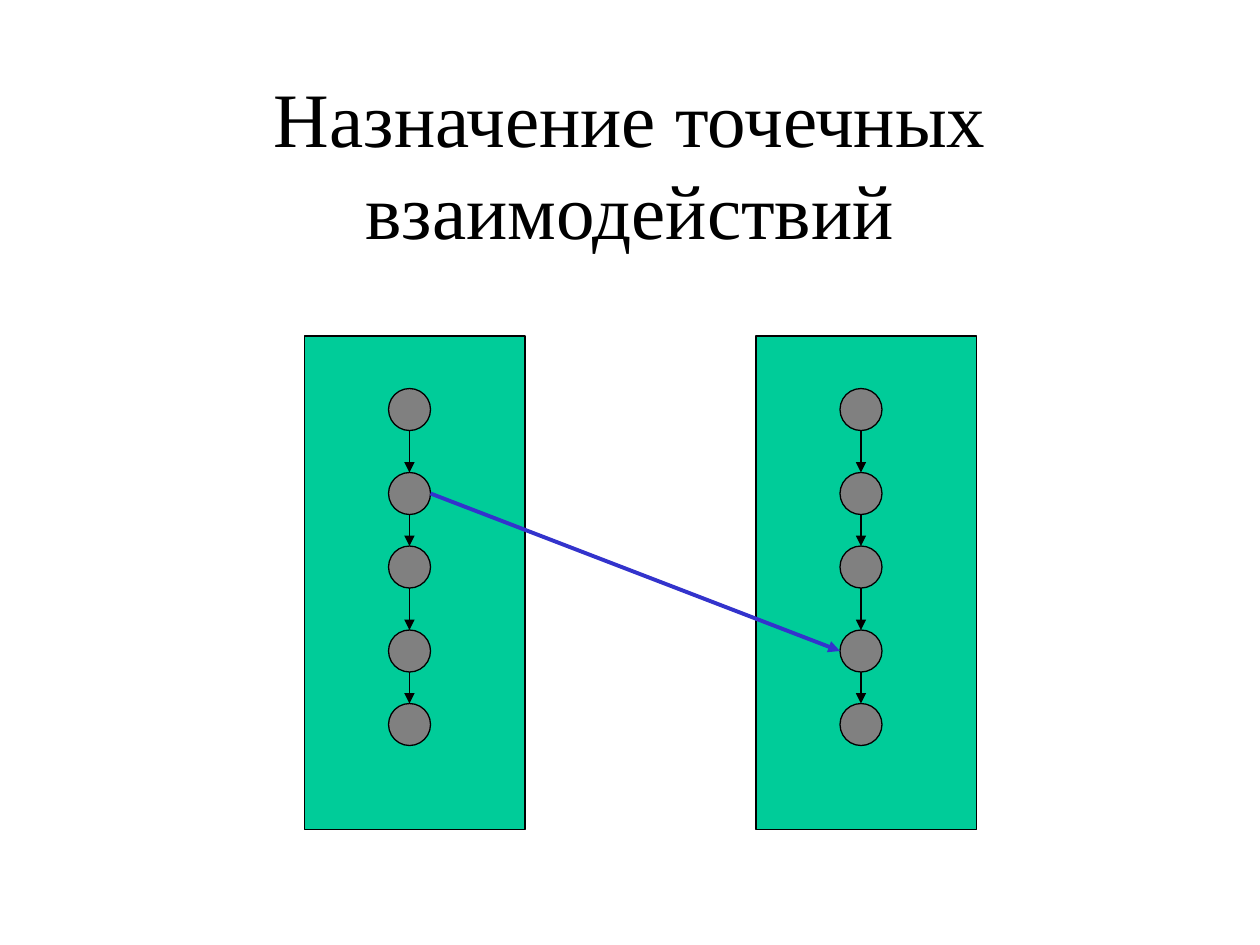
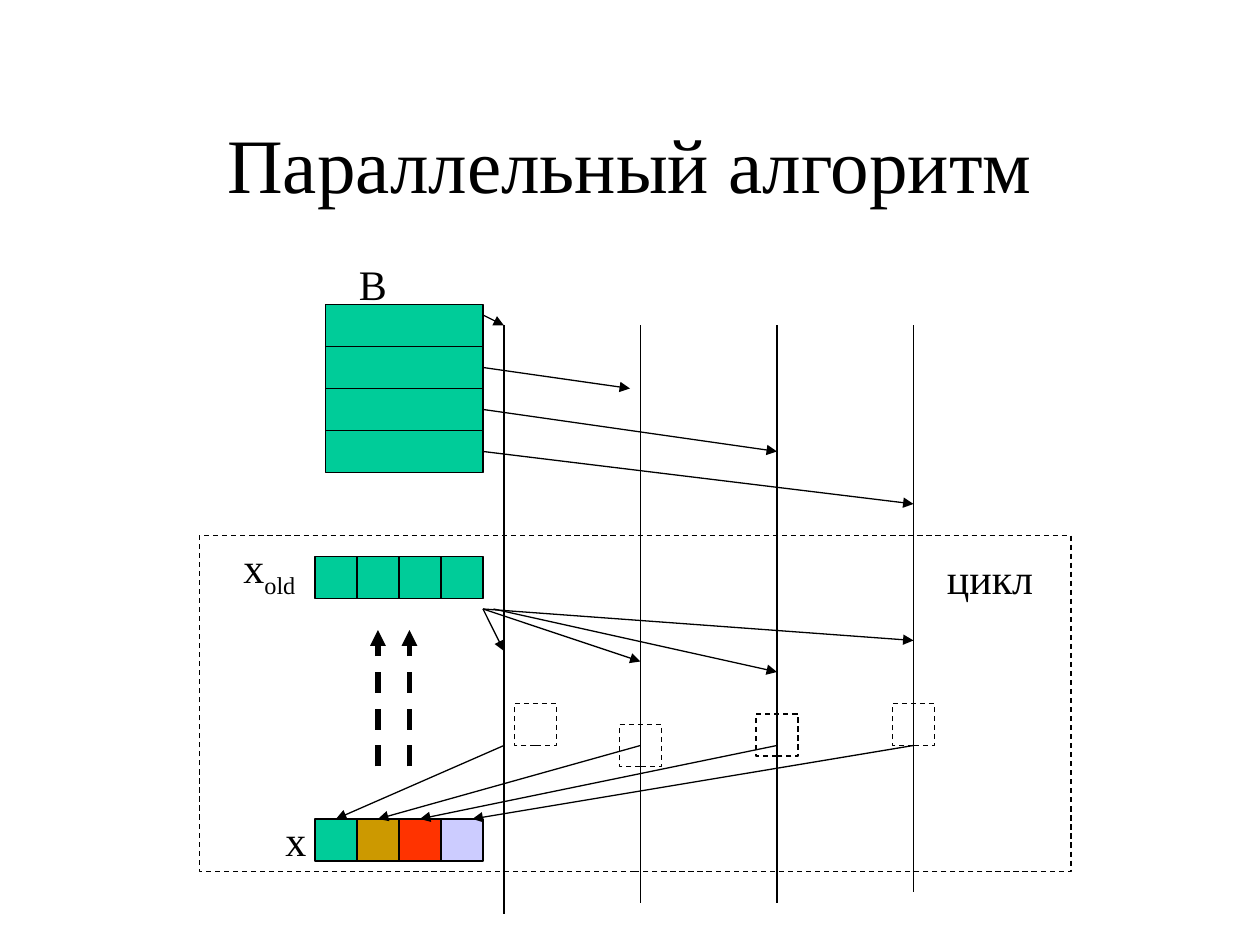
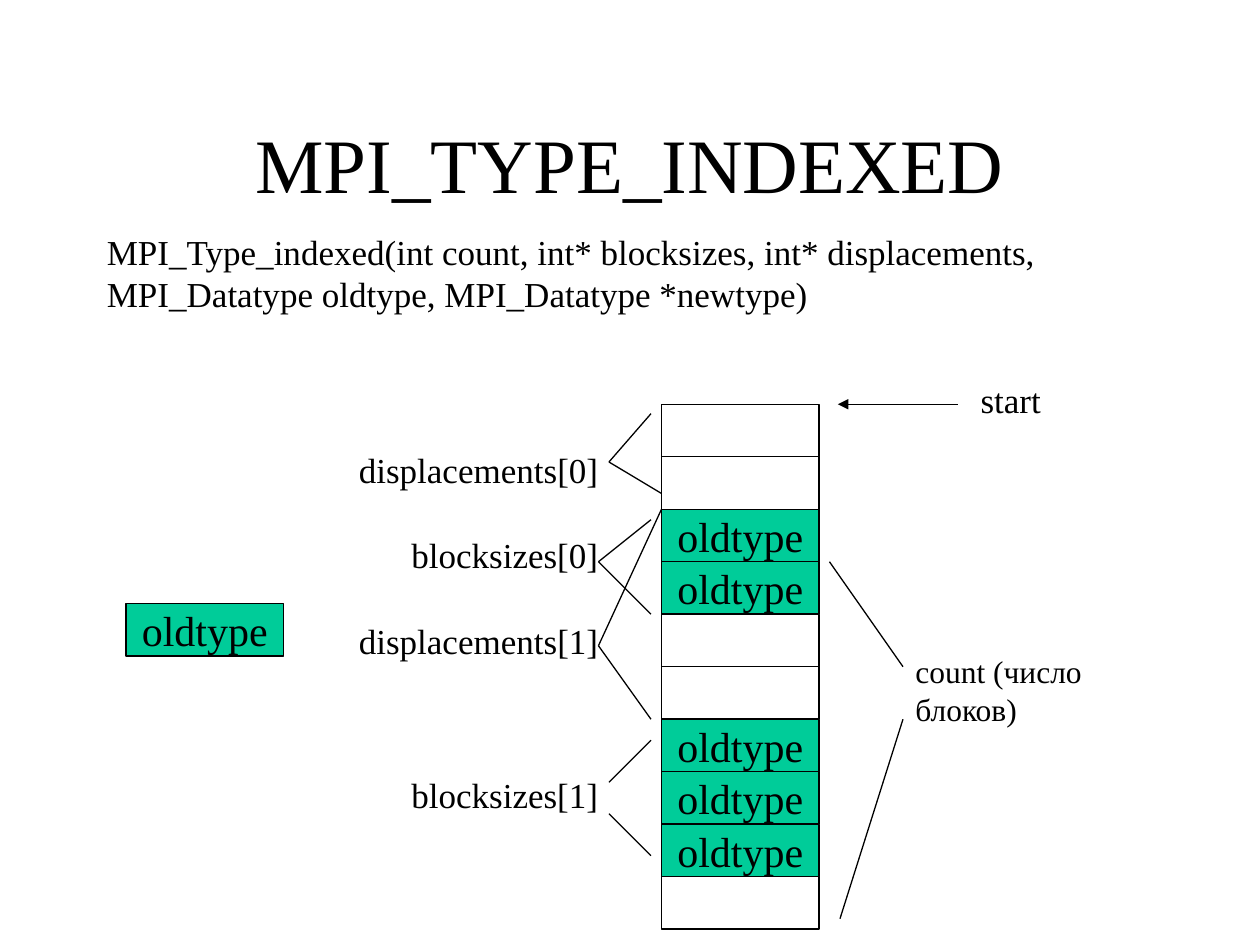
from itertools import pairwise

from lxml import etree
from pptx import Presentation
from pptx import util as u
from pptx.dml.color import RGBColor
from pptx.enum import dml, shapes, text
from pptx.oxml.ns import qn

COLORS = {
    "black": "000000",
    "green": "00CC99",
    "gray": "808080",
    "blue": "3333CC",
    "ochre": "CC9900",
    "red": "FF3300",
    "lilac": "CCCCFF",
}
FONT = "Times New Roman"
COLS, ROWS = 120, 90
STEP = 25.4 / COLS  # all positions below are counted in these grid steps

RECT = shapes.MSO_SHAPE.RECTANGLE
OVAL = shapes.MSO_SHAPE.OVAL
CENTER = text.PP_ALIGN.CENTER
LEFT = text.PP_ALIGN.LEFT
MIDDLE = text.MSO_ANCHOR.MIDDLE
TOP = text.MSO_ANCHOR.TOP


def grid(*steps):
    return [u.Cm(n * STEP) for n in steps]


def rgb(name):
    return RGBColor.from_string(COLORS[name])


# Kinds of element
def put_text(shape, content, size=24, align=LEFT, anchor=TOP, wrap=True, sub=None):
    tf = shape.text_frame
    tf.word_wrap = wrap
    tf.vertical_anchor = anchor
    p = tf.paragraphs[0]
    p.alignment = align
    for part in filter(None, (content, sub)):
        r = p.add_run()
        r.text = part
        r.font.name = FONT
        r.font.size = u.Pt(size)
        r.font.color.rgb = rgb("black")
    if sub:
        r.font._element.set("baseline", "-25000")


def add_text(s, content, box, **fmt):
    put_text(s.shapes.add_textbox(*grid(*box)), content, **fmt)


def style_line(line, color="black", width=0.75, dashed=False):
    line.color.rgb = rgb(color)
    line.width = u.Pt(width)
    if dashed:
        line.dash_style = dml.MSO_LINE.DASH


def add_box(s, box, fill=None, kind=RECT, dashed=False, label=None):
    sp = s.shapes.add_shape(kind, *grid(*box))
    sp.shadow.inherit = False
    if fill:
        sp.fill.solid()
        sp.fill.fore_color.rgb = rgb(fill)
    else:
        sp.fill.background()
    style_line(sp.line, dashed=dashed)
    if label:
        put_text(sp, label, align=CENTER, anchor=MIDDLE, wrap=False)


def add_line(s, start, end, arrow=False, **style):
    c = s.shapes.add_connector(shapes.MSO_CONNECTOR.STRAIGHT, *grid(*start, *end))
    style_line(c.line, **style)
    etree.SubElement(c._element.spPr, qn("a:effectLst"))
    if arrow:
        etree.SubElement(c.line._get_or_add_ln(), qn("a:tailEnd"), type="triangle")


def add_slide(prs, title):
    s = prs.slides.add_slide(prs.slide_layouts[6])
    add_text(s, title, (9, 8, 102, 15), size=44, align=CENTER, anchor=MIDDLE)
    return s


# Slide 1: two processes and one message
def add_process(s, left):
    dot, dot_tops = 4, (37, 45, 52, 60, 67)
    add_box(s, (left, 32, 21, 47), "green")
    for top in dot_tops:
        add_box(s, (left + 8, top, dot, dot), "gray", kind=OVAL)
    x = left + 8 + dot / 2
    for above, below in pairwise(dot_tops):
        add_line(s, (x, above + dot), (x, below), arrow=True)


def point_to_point_slide(prs):
    s = add_slide(prs, "Назначение точечных взаимодействий")
    for left in (29, 72):
        add_process(s, left)
    add_line(s, (41, 47), (80, 62), arrow=True, color="blue", width=2.25)


# Slide 2: matrix and vector spread over four processes
def add_vector(s, top, fills):
    for i, fill in enumerate(fills):
        add_box(s, (30 + 4 * i, top, 4, 4), fill)


def algorithm_slide(prs):
    s = add_slide(prs, "Параллельный алгоритм")
    lifelines = [48 + 13 * i for i in range(4)]
    for x, bottom in zip(lifelines, (87, 86, 86, 85)):
        add_line(s, (x, 31), (x, bottom))

    # Matrix rows and the vectors
    for i in range(4):
        add_box(s, (31, 29 + 4 * i, 15, 4), "green")
    add_vector(s, 53, ["green"] * 4)
    add_vector(s, 78, ["green", "ochre", "red", "lilac"])

    # Sending rows, sending the vector, gathering the result
    row_arrows = [((46, 30), (48, 31)), ((46, 35), (60, 37)),
                  ((46, 39), (74, 43)), ((46, 43), (87, 48))]
    vector_arrows = [((start, 58), (x, y)) for start, x, y
                     in zip((46, 46, 47, 46), lifelines, (62, 63, 64, 61))]
    result_arrows = [((x, 71), (end, 78))
                     for x, end in zip(lifelines, (32, 36, 40, 45))]
    for start, end in row_arrows + vector_arrows + result_arrows:
        add_line(s, start, end, arrow=True)
    for x in (36, 39):
        add_line(s, (x, 73), (x, 60), arrow=True, width=3, dashed=True)

    # Loop frame and local parts
    add_box(s, (19, 51, 83, 32), dashed=True)
    for left, top in ((49, 67), (59, 69), (72, 68), (85, 67)):
        add_box(s, (left, top, 4, 4), dashed=True)

    add_text(s, "B", (33, 24, 12, 6))
    add_text(s, "x", (22, 51, 17, 6.7), sub="old")
    add_text(s, "x", (26, 77, 17, 6))
    add_text(s, "цикл", (89, 52, 15, 6))


# Slide 3: memory layout of an indexed type
def indexed_type_slide(prs):
    s = add_slide(prs, "MPI_TYPE_INDEXED")
    add_text(s, "MPI_Type_indexed(int count, int* blocksizes, int* displacements, "
             "MPI_Datatype oldtype, MPI_Datatype *newtype)", (9, 21.4, 102, 9.2), size=20)

    # Memory column: empty cells first, so that filled ones keep their borders
    cell_w, cell_h, top = 15, 5, 38.5
    used = (2, 3, 6, 7, 8)
    add_box(s, (12, 57.5, cell_w, cell_h), "green", label="oldtype")
    for i in sorted(range(10), key=lambda n: n in used):
        fill, label = ("green", "oldtype") if i in used else (None, None)
        add_box(s, (63, top + cell_h * i, cell_w, cell_h), fill, label=label)

    # Labels to the left of the column
    for label, left, y in (("displacements[0]", 33, 42.1), ("blocksizes[0]", 38, 50.2),
                           ("displacements[1]", 33, 58.4), ("blocksizes[1]", 38, 73.1)):
        add_text(s, label, (left, y, 58.2 - left, 5.3), size=20, wrap=False)

    # Lines from the labels to the cells
    for start, end in (((58, 44), (62, 39.4)), ((58, 44), (63, 47)),
                       ((57, 53.5), (62, 49.5)), ((57, 53.5), (62, 58.5)),
                       ((57, 61.5), (63, 48.5)), ((57, 61.5), (62, 68.5)),
                       ((58, 74.5), (62, 70.5)), ((58, 77.5), (62, 81.5)),
                       ((79, 53.5), (86, 63.5)), ((80, 87.5), (86, 68.5))):
        add_line(s, start, end)

    add_text(s, "count (число блоков)", (86, 61.5, 28, 8.4), size=18)
    add_line(s, (91.2, top), (79.8, top), arrow=True)
    add_text(s, "start", (92.2, 35.5, 20.8, 5.3), size=20)


def main():
    prs = Presentation()
    prs.slide_width, prs.slide_height = grid(COLS, ROWS)
    point_to_point_slide(prs)
    algorithm_slide(prs)
    indexed_type_slide(prs)
    prs.save("out.pptx")


if __name__ == "__main__":
    main()
